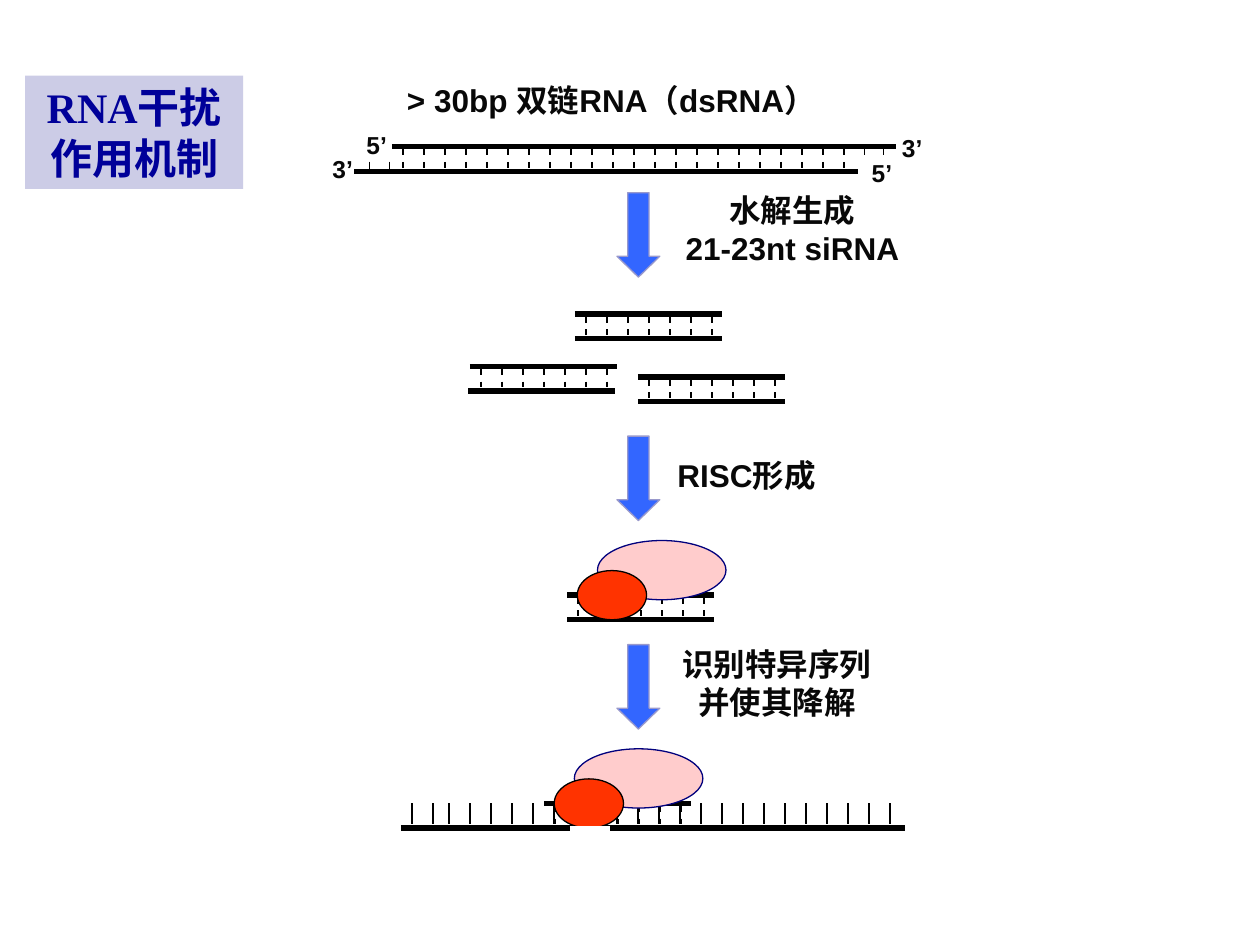
from lxml.etree import SubElement
from pptx import Presentation
from pptx.dml.color import RGBColor
from pptx.enum.dml import MSO_LINE_DASH_STYLE as Dash
from pptx.enum.shapes import MSO_CONNECTOR, MSO_SHAPE
from pptx.enum.text import MSO_ANCHOR, PP_ALIGN
from pptx.oxml.ns import qn
from pptx.util import Inches, Pt

BLACK = RGBColor(0x00, 0x00, 0x00)
WHITE = RGBColor(0xFF, 0xFF, 0xFF)
INK = RGBColor(0x08, 0x08, 0x08)
ARROW_BLUE = RGBColor(0x33, 0x66, 0xFF)
ARROW_EDGE = RGBColor(0x99, 0x99, 0xCC)
PROTEIN_PINK = RGBColor(0xFF, 0xCC, 0xCC)
PROTEIN_EDGE = RGBColor(0x00, 0x00, 0x7D)
NUCLEASE_RED = RGBColor(0xFF, 0x33, 0x00)
TITLE_FILL = RGBColor(0xCC, 0xCC, 0xE6)
TITLE_BLUE = RGBColor(0x00, 0x00, 0x99)

# The slide is a grid of 60 x 45 cells; one cell is the distance between base pairs.
COLUMNS, ROWS = 60, 45
CELL = Inches(10) / COLUMNS
STRAND_GAP = 1.17
FIRST_BASE = 0.53
BASE_LENGTH = 1

STRAND = {"color": BLACK, "width": 3}
PAIR = {"color": BLACK, "width": 1.25, "dash": Dash.DASH}
BASE = {"color": BLACK, "width": 1.25}
OVERHANG = {"color": BLACK, "width": 0.75}
CUT = {"color": WHITE, "width": 4.5}

CAPTION_FONT = {"name": "Arial", "size": Pt(18), "bold": True}
END_FONT = {"name": "Arial", "size": Pt(14), "bold": True}
TITLE_FONT = {"size": Pt(24), "bold": True}


def cells(*values):
    return [round(value * CELL) for value in values]


def add_line(shapes, x1, y1, x2, y2, color, width, dash=None):
    connector = shapes.add_connector(MSO_CONNECTOR.STRAIGHT, *cells(x1, y1, x2, y2))
    connector.line.color.rgb = color
    connector.line.width = Pt(width)
    if dash:
        connector.line.dash_style = dash
    SubElement(connector._element.spPr, qn("a:effectLst"))


def add_solid(shapes, kind, box, fill, edge=None):
    solid = shapes.add_shape(kind, *cells(*box))
    solid.shadow.inherit = False
    solid.fill.solid()
    solid.fill.fore_color.rgb = fill
    if edge is None:
        solid.line.fill.background()
    else:
        solid.line.color.rgb = edge
        solid.line.width = Pt(0.75)
    return solid


def set_font(run, font, color):
    for attribute, value in font.items():
        setattr(run.font, attribute, value)
    run.font.color.rgb = color


def add_text(shapes, box, lines, font=CAPTION_FONT, align=PP_ALIGN.CENTER,
             wrap=True, left_inset=0.1):
    frame = shapes.add_textbox(*cells(*box)).text_frame
    frame.word_wrap = wrap
    frame.margin_left = Inches(left_inset)
    for index, line in enumerate(lines):
        paragraph = frame.add_paragraph() if index else frame.paragraphs[0]
        paragraph.alignment = align
        run = paragraph.add_run()
        run.text = line
        set_font(run, font, INK)


def add_bases(shapes, x, y, count, style):
    for index in range(count):
        add_line(shapes, x + index, y, x + index, y + BASE_LENGTH, **style)


def add_duplex(shapes, x, y, length, bases, lower_shift=0):
    """Two strands joined by base pairs; lower_shift slides the lower strand."""
    duplex = shapes.add_group_shape().shapes
    lower_x, lower_y = x + lower_shift, y + STRAND_GAP
    add_line(duplex, x, y, x + length, y, **STRAND)
    add_line(duplex, lower_x, lower_y, lower_x + length, lower_y, **STRAND)
    add_bases(duplex, x + FIRST_BASE, y, bases, PAIR)


def add_sirna(shapes, x, y, lower_shift=0):
    add_duplex(shapes, x, y, 7, 7, lower_shift)


def add_dsrna(shapes, x, y):
    """The long duplex with its overhanging bases and strand-end labels."""
    add_duplex(shapes, x, y, 24, 22, lower_shift=-1.8)
    for dx, dy in ((-1.08, 0.72), (-0.12, 0.72), (22.5, -0.06), (23.4, -0.06)):
        add_line(shapes, x + dx, y + dy, x + dx, y + dy + 0.48, **OVERHANG)
    for label, dx, dy in (("5’", -1.8, -1.08), ("3’", -3.42, 0.06),
                          ("3’", 23.7, -0.96), ("5’", 22.26, 0.24)):
        add_text(shapes, (x + dx, y + dy, 2.16, 2.04), [label], END_FONT,
                 PP_ALIGN.LEFT, wrap=False)


def add_risc(shapes, x, y):
    """An siRNA bound by the protein complex."""
    add_sirna(shapes, x, y)
    add_solid(shapes, MSO_SHAPE.OVAL, (x + 1.44, y - 2.6, 6.12, 2.82),
              PROTEIN_PINK, PROTEIN_EDGE)
    add_solid(shapes, MSO_SHAPE.OVAL, (x + 0.48, y - 1.17, 3.3, 2.34),
              NUCLEASE_RED, BLACK)


def add_target_cleavage(shapes, x, y):
    """The target strand with RISC on it and a gap where it is cut."""
    target = shapes.add_group_shape().shapes
    add_line(target, x, y, x + 24, y, **STRAND)
    top = y - STRAND_GAP
    add_bases(target, x + FIRST_BASE, top, 2, BASE)
    add_bases(target, x + 2.3, top, 22, BASE)
    add_risc(shapes, x + 6.82, top)
    add_line(shapes, x + 8.04, y + 0.1, x + 9.96, y + 0.1, **CUT)


def add_step(shapes, y, caption_box, caption):
    """A downward arrow with its caption at the right."""
    arrow = add_solid(shapes, MSO_SHAPE.DOWN_ARROW, (29.38, y, 2.04, 4.02),
                      ARROW_BLUE, ARROW_EDGE)
    arrow.adjustments[0] = 0.5
    arrow.adjustments[1] = 0.487
    add_text(shapes, caption_box, caption)


def add_title(shapes, box):
    title = add_solid(shapes, MSO_SHAPE.RECTANGLE, box, TITLE_FILL)
    frame = title.text_frame
    frame.word_wrap = True
    frame.vertical_anchor = MSO_ANCHOR.MIDDLE
    paragraph = frame.paragraphs[0]
    paragraph.alignment = PP_ALIGN.CENTER
    for words, typeface in (("RNA", "Times New Roman"), ("干扰作用机制", "Arial")):
        run = paragraph.add_run()
        run.text = words
        set_font(run, {"name": typeface, **TITLE_FONT}, TITLE_BLUE)


def main():
    presentation = Presentation()
    presentation.slide_width, presentation.slide_height = cells(COLUMNS, ROWS)
    shapes = presentation.slides.add_slide(presentation.slide_layouts[6]).shapes

    add_title(shapes, (1.2, 3.6, 10.38, 5.4))
    add_text(shapes, (18.06, 3.54, 25.08, 2.4), ["> 30bp 双链RNA（dsRNA）"],
             align=PP_ALIGN.LEFT, left_inset=0.22)
    add_dsrna(shapes, 18.66, 6.98)
    add_step(shapes, 9.18, (30.36, 8.82, 14.76, 4.2), ["水解生成", "21-23nt siRNA"])
    add_sirna(shapes, 27.38, 14.95)
    add_sirna(shapes, 22.38, 17.45, lower_shift=-0.08)
    add_sirna(shapes, 30.38, 17.95)
    add_step(shapes, 20.77, (29.4, 21.42, 12.3, 2.4), ["RISC形成"])
    add_risc(shapes, 27.01, 28.34)
    add_step(shapes, 30.7, (29.4, 30.42, 15.18, 4.2), ["识别特异序列", "并使其降解"])
    add_target_cleavage(shapes, 19.09, 39.43)

    presentation.save("out.pptx")


if __name__ == "__main__":
    main()
